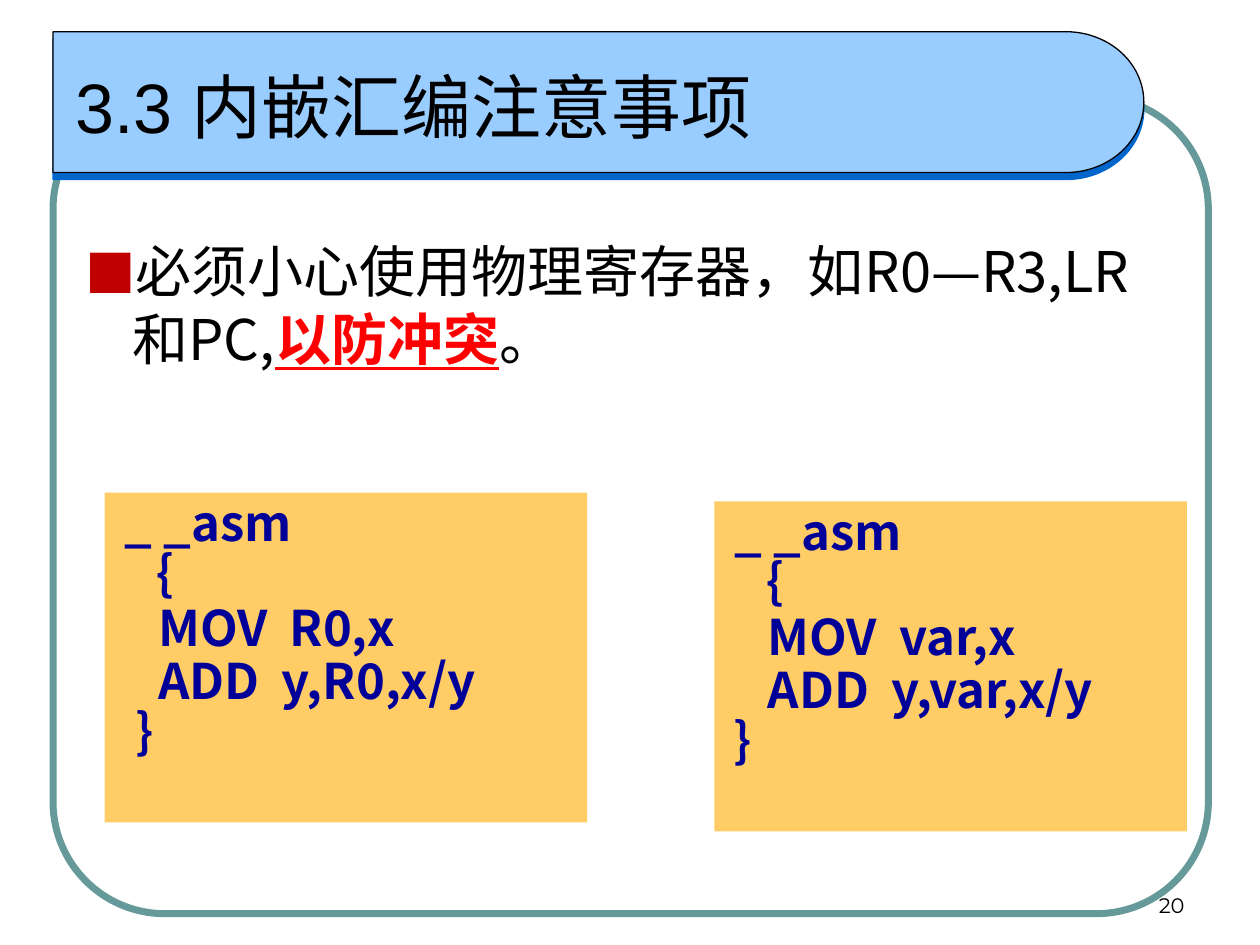
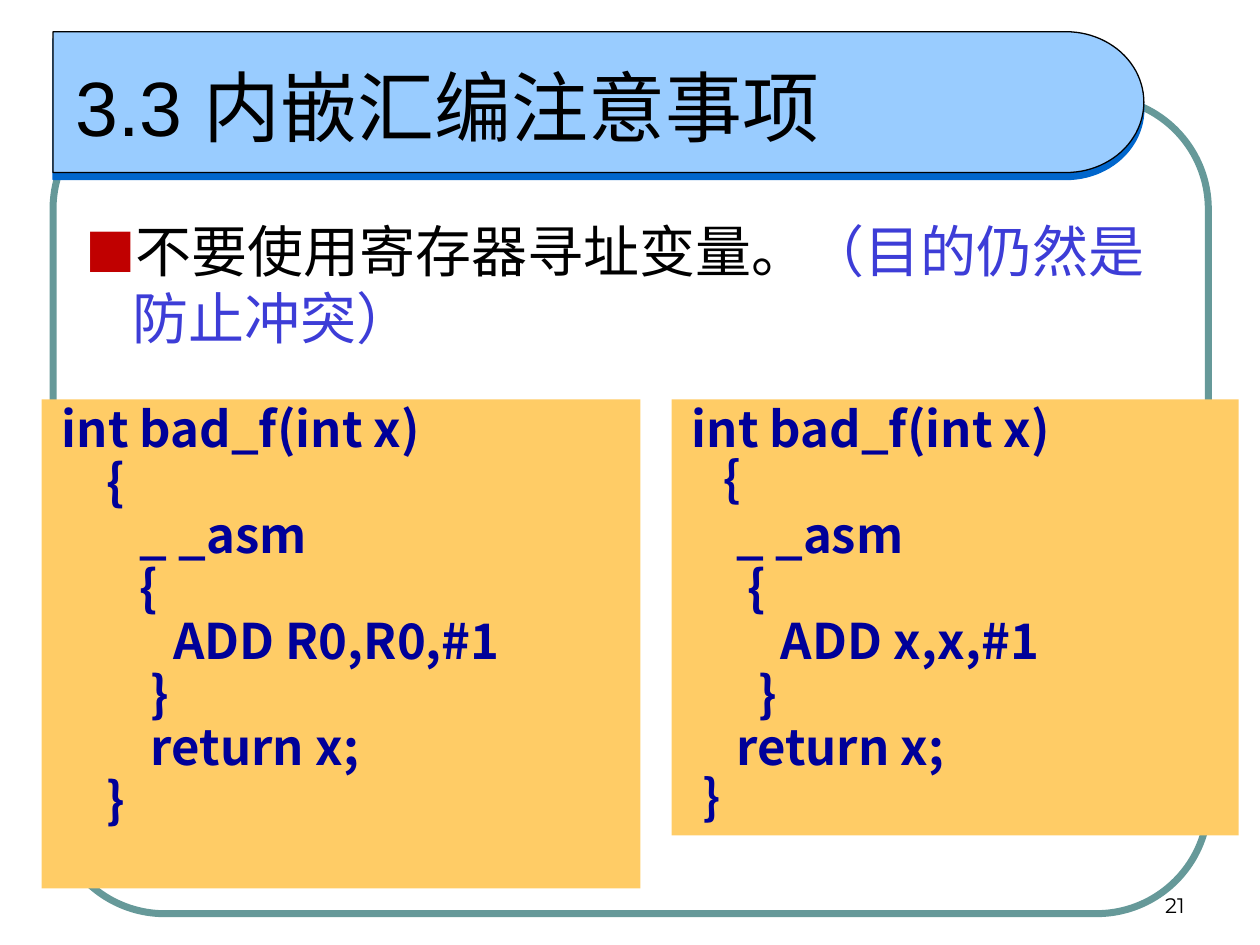
from dataclasses import dataclass
from math import cos, pi, sin

from lxml import etree
from pptx import Presentation
from pptx.dml.color import RGBColor
from pptx.enum.shapes import MSO_SHAPE
from pptx.enum.text import MSO_ANCHOR, PP_ALIGN
from pptx.oxml.ns import qn
from pptx.util import Cm, Pt

RECT, ROUND_RECT = MSO_SHAPE.RECTANGLE, MSO_SHAPE.ROUNDED_RECTANGLE
TOP, MIDDLE, BOTTOM = MSO_ANCHOR.TOP, MSO_ANCHOR.MIDDLE, MSO_ANCHOR.BOTTOM
LEFT, RIGHT, JUSTIFY = PP_ALIGN.LEFT, PP_ALIGN.RIGHT, PP_ALIGN.JUSTIFY


@dataclass(frozen=True)
class Theme:
    frame: str = "669999"
    band: str = "99CCFF"
    band_shadow: str = "0066CC"
    ink: str = "000000"
    bullet: str = "C00000"
    warning: str = "FF0000"
    remark: str = "3D3DD7"
    code: str = "000099"
    code_fill: str = "FFCC66"
    title_font: str = "Arial"
    body_font: str = "Noto Sans CJK SC"
    page_font: str = "Montserrat"
    body_size: int = 32
    code_size: int = 28
    page_size: int = 12


def rgb(color):
    return RGBColor.from_string(color)


def add_xml(parent, tag, **attrs):
    return etree.SubElement(parent, qn(tag), attrs)


class Deck:
    def __init__(self, theme):
        self.theme = theme
        self.prs = Presentation()
        self.prs.slide_width, self.prs.slide_height = Cm(25.4), Cm(19.05)
        self.s = None

    def new_slide(self, title, title_size, page):
        t = self.theme
        self.s = self.prs.slides.add_slide(self.prs.slide_layouts[6])
        self.frame()
        self.band()
        tf = self.text_box((1.27, 0.64, 20.75, 2.97), MIDDLE)
        self.line(tf.paragraphs[0], title, t.title_font, title_size)
        tf = self.text_box((18.21, 17.35, 5.92, 1.27), BOTTOM)
        self.line(tf.paragraphs[0], str(page), t.page_font, t.page_size, align=RIGHT)

    def frame(self):
        sp = self.s.shapes.add_shape(ROUND_RECT, *map(Cm, (1.07, 1.96, 23.29, 16.46)))
        sp.adjustments[0] = 0.137
        sp.shadow.inherit = False
        sp.fill.background()
        sp.line.color.rgb = rgb(self.theme.frame)
        sp.line.width = Pt(4)

    def band(self):
        left, top, arc_x, rx, ry = 1.07, 0.64, 21.49, 1.57, 1.42
        steps = 48
        angles = [pi * i / steps - pi / 2 for i in range(steps + 1)]
        arc = [(Cm(arc_x + rx * cos(a)), Cm(top + ry + ry * sin(a))) for a in angles]
        fb = self.s.shapes.build_freeform(Cm(left), Cm(top))
        fb.add_line_segments(arc + [(Cm(left), Cm(top + 2 * ry))])
        sp = fb.convert_to_shape()
        sp.fill.solid()
        sp.fill.fore_color.rgb = rgb(self.theme.band)
        sp.line.color.rgb = rgb(self.theme.ink)
        sp.line.width = Pt(0.75)
        sp.shadow.inherit = False
        effects = sp._element.spPr.find(qn("a:effectLst"))
        shadow = add_xml(effects, "a:outerShdw", dist=str(Pt(4)), dir="5400000",
                         algn="ctr", rotWithShape="0")
        add_xml(shadow, "a:srgbClr", val=self.theme.band_shadow)

    def text_box(self, box, anchor=TOP):
        tf = self.s.shapes.add_textbox(*map(Cm, box)).text_frame
        tf.word_wrap = True
        tf.vertical_anchor = anchor
        return tf

    def line(self, p, text, font, size, color=None, bold=False, align=LEFT):
        if text:
            p.add_run().text = text
        p.alignment = align
        p.font.name = font
        p.font.size = Pt(size)
        p.font.bold = bold
        p.font.color.rgb = rgb(color or self.theme.ink)
        if font == self.theme.body_font:
            add_xml(p._p.pPr.find(qn("a:defRPr")), "a:ea", typeface=font)

    def bullet(self, box, parts):
        t = self.theme
        p = self.text_box(box).paragraphs[0]
        pPr = p._p.get_or_add_pPr()
        pPr.set("marL", str(Cm(0.95)))
        pPr.set("indent", str(-Cm(0.95)))
        add_xml(add_xml(pPr, "a:buClr"), "a:srgbClr", val=t.bullet)
        add_xml(pPr, "a:buSzPct", val="90000")
        add_xml(pPr, "a:buFont", typeface=t.body_font)
        add_xml(pPr, "a:buChar", char="■")
        self.line(p, "", t.body_font, t.body_size)
        for text, color, strong in parts:
            r = p.add_run()
            r.text = text
            r.font.color.rgb = rgb(color)
            if strong:
                r.font.bold = r.font.underline = True

    def code(self, box, source):
        t = self.theme
        sp = self.s.shapes.add_shape(RECT, *map(Cm, box))
        sp.shadow.inherit = False
        sp.fill.solid()
        sp.fill.fore_color.rgb = rgb(t.code_fill)
        sp.line.fill.background()
        tf = sp.text_frame
        tf.word_wrap = True
        tf.vertical_anchor = TOP
        tf.margin_left = Cm(0.41)
        for i, text in enumerate(source):
            p = tf.add_paragraph() if i else tf.paragraphs[0]
            p.line_spacing = 0.9
            self.line(p, text, t.body_font, t.code_size, t.code, True, JUSTIFY)


def main():
    theme = Theme()
    deck = Deck(theme)
    title = "3.3 内嵌汇编注意事项"

    deck.new_slide(title, 40, 20)
    deck.bullet((1.47, 4.65, 22.66, 12.27), [
        ("必须小心使用物理寄存器，如R0—R3,LR和PC,", theme.ink, False),
        ("以防冲突", theme.warning, True),
        ("。", theme.ink, False),
    ])
    deck.code((2.11, 9.93, 9.73, 6.65), [
        "_ _asm",
        "｛",
        "   MOV  R0,x",
        "   ADD  y,R0,x/y",
        " ｝",
    ])
    deck.code((14.4, 10.11, 9.53, 6.65), [
        "_ _asm",
        "｛",
        "   MOV  var,x",
        "   ADD  y,var,x/y",
        "｝",
    ])

    deck.new_slide(title, 44, 21)
    deck.bullet((1.47, 4.24, 22.02, 12.27), [
        ("不要使用寄存器寻址变量。", theme.ink, False),
        ("（目的仍然是防止冲突）", theme.remark, False),
    ])
    deck.code((0.84, 8.05, 12.07, 9.86), [
        "int bad_f(int x)",
        "    {",
        "       _ _asm",
        "       {",
        "          ADD R0,R0,#1",
        "        }",
        "        return x;",
        "    }",
    ])
    deck.code((13.54, 8.05, 11.43, 8.79), [
        "int bad_f(int x)",
        "｛",
        "    _ _asm",
        "     {",
        "        ADD x,x,#1",
        "      }",
        "    return x;",
        " ｝",
    ])

    deck.prs.save("out.pptx")


if __name__ == "__main__":
    main()
